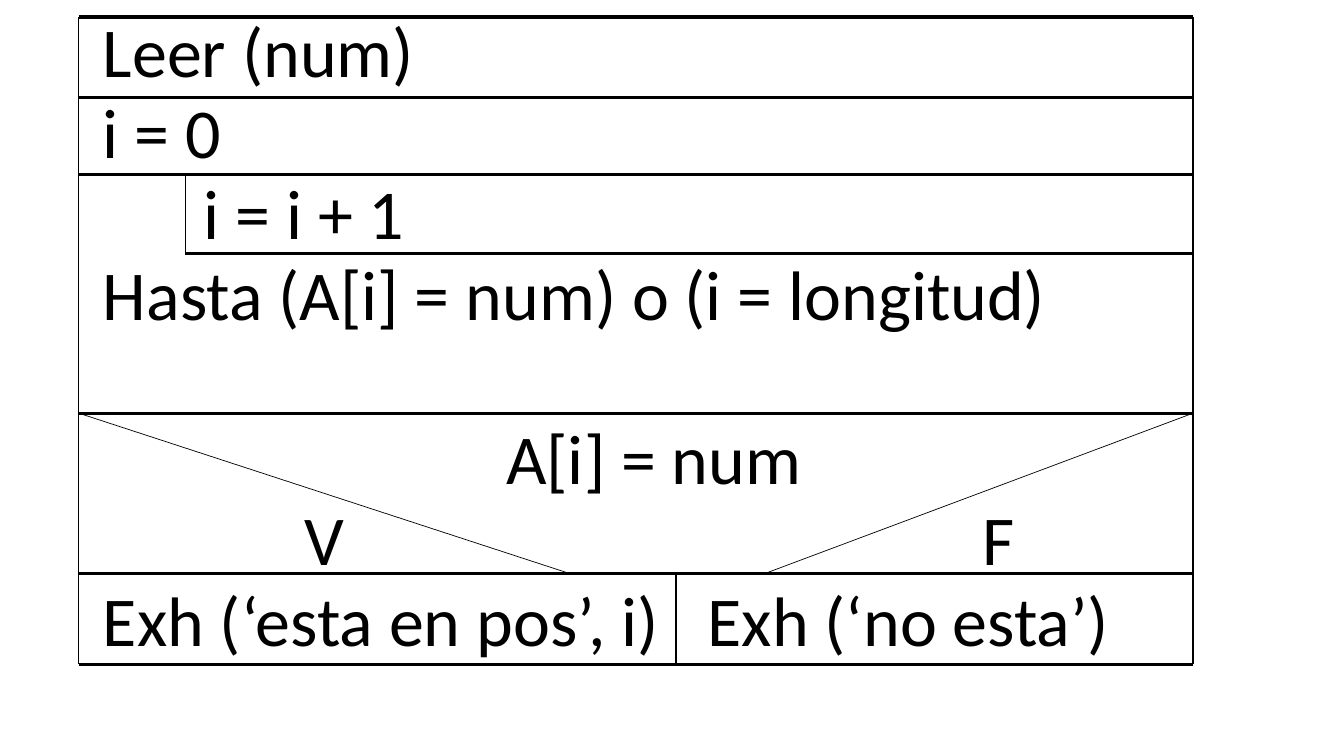
"""Draw a structure chart of a linear search with python-pptx."""
from dataclasses import dataclass

from lxml.etree import SubElement
from pptx import Presentation
from pptx.dml.color import RGBColor
from pptx.enum.shapes import MSO_CONNECTOR
from pptx.enum.text import MSO_ANCHOR, MSO_AUTO_SIZE
from pptx.oxml.ns import qn
from pptx.util import Cm, Pt


@dataclass(frozen=True)
class Theme:
    ink: RGBColor = RGBColor(0, 0, 0)
    font: str = "Calibri"
    size: float = 50
    gap: float = 10
    lead: float = 0.8
    thick: float = 2.25
    side: float = 1.5
    thin: float = 1
    hair: float = 0.5


def write(par, text, theme, gap=None, dent=0, tab=None):
    par.line_spacing = theme.lead
    par.space_before = Pt(theme.gap if gap is None else gap)
    par.space_after = Pt(0)
    props = par._p.get_or_add_pPr()
    props.set("marL", str(Cm(dent)))
    props.set("indent", "0")
    SubElement(props, qn("a:buNone"))
    if tab:
        stops = SubElement(props, qn("a:tabLst"))
        SubElement(stops, qn("a:tab"), pos=str(Cm(tab)), algn="l")
    run = par.add_run()
    run.text = text
    run.font.name = theme.font
    run.font.size = Pt(theme.size)
    run.font.color.rgb = theme.ink


class Page:
    def __init__(self, slide, theme):
        self.slide = slide
        self.theme = theme

    def fill(self, box, rows):
        frame = box.text_frame
        frame.word_wrap = True
        frame.auto_size = MSO_AUTO_SIZE.NONE
        frame.vertical_anchor = MSO_ANCHOR.TOP
        for num, (text, form) in enumerate(rows):
            par = frame.add_paragraph() if num else frame.paragraphs[0]
            write(par, text, self.theme, **form)

    def body(self, left, top, width, height, rows):
        title = self.slide.shapes.title
        title.element.getparent().remove(title.element)
        box = self.slide.placeholders[1]
        box.left, box.top = Cm(left), Cm(top)
        box.width, box.height = Cm(width), Cm(height)
        self.fill(box, rows)

    def label(self, left, top, width, height, text):
        box = self.slide.shapes.add_textbox(
            Cm(left), Cm(top), Cm(width), Cm(height))
        self.fill(box, [(text, {})])

    def line(self, x1, y1, x2, y2, weight):
        line = self.slide.shapes.add_connector(
            MSO_CONNECTOR.STRAIGHT, Cm(x1), Cm(y1), Cm(x2), Cm(y2))
        line.line.color.rgb = self.theme.ink
        line.line.width = Pt(weight)
        SubElement(line._element.spPr, qn("a:effectLst"))


LEFT, RIGHT = 1.98, 30.07
TOP, START, LOOP, STEP, TEST, CASE, END = 0.43, 2.46, 4.39, 6.38, 10.41, 14.45, 16.74
INNER, SPLIT = 4.67, 17.04
ROWS = [
    ("Leer (num)", {}),
    ("i = 0", {}),
    ("i = i + 1", {"dent": 2.54}),
    ("Hasta (A[i] = num) o (i = longitud)", {}),
    ("A[i] = num", {"dent": 10.16, "gap": 68.8}),
    ("V", {"dent": 5.08}),
    ("Exh (‘esta en pos’, i)\tExh (‘no esta’)", {"tab": 15.24}),
]


def main():
    deck = Presentation()
    deck.slide_width, deck.slide_height = Cm(33.87), Cm(19.05)
    theme = Theme()
    page = Page(deck.slides.add_slide(deck.slide_layouts[1]), theme)
    page.body(2.34, 0.46, 29.21, 17.42, ROWS)
    page.label(24.5, 12.78, 2, 2.2, "F")
    for y in (TOP, START, LOOP, TEST, CASE, END):
        page.line(LEFT, y, RIGHT, y, theme.thick)
    page.line(INNER, STEP, RIGHT, STEP, theme.thick)
    for x, top, low, weight in (
        (LEFT, TOP, END, theme.thin),
        (RIGHT, TOP, END, theme.side),
        (INNER, LOOP, STEP, theme.thin),
        (SPLIT, CASE, END, theme.thin),
    ):
        page.line(x, top, x, low, weight)
    for edge, foot in ((LEFT, 14.35), (RIGHT, 19.28)):
        page.line(edge, TEST, foot, CASE, theme.hair)
    deck.save("out.pptx")


main()
